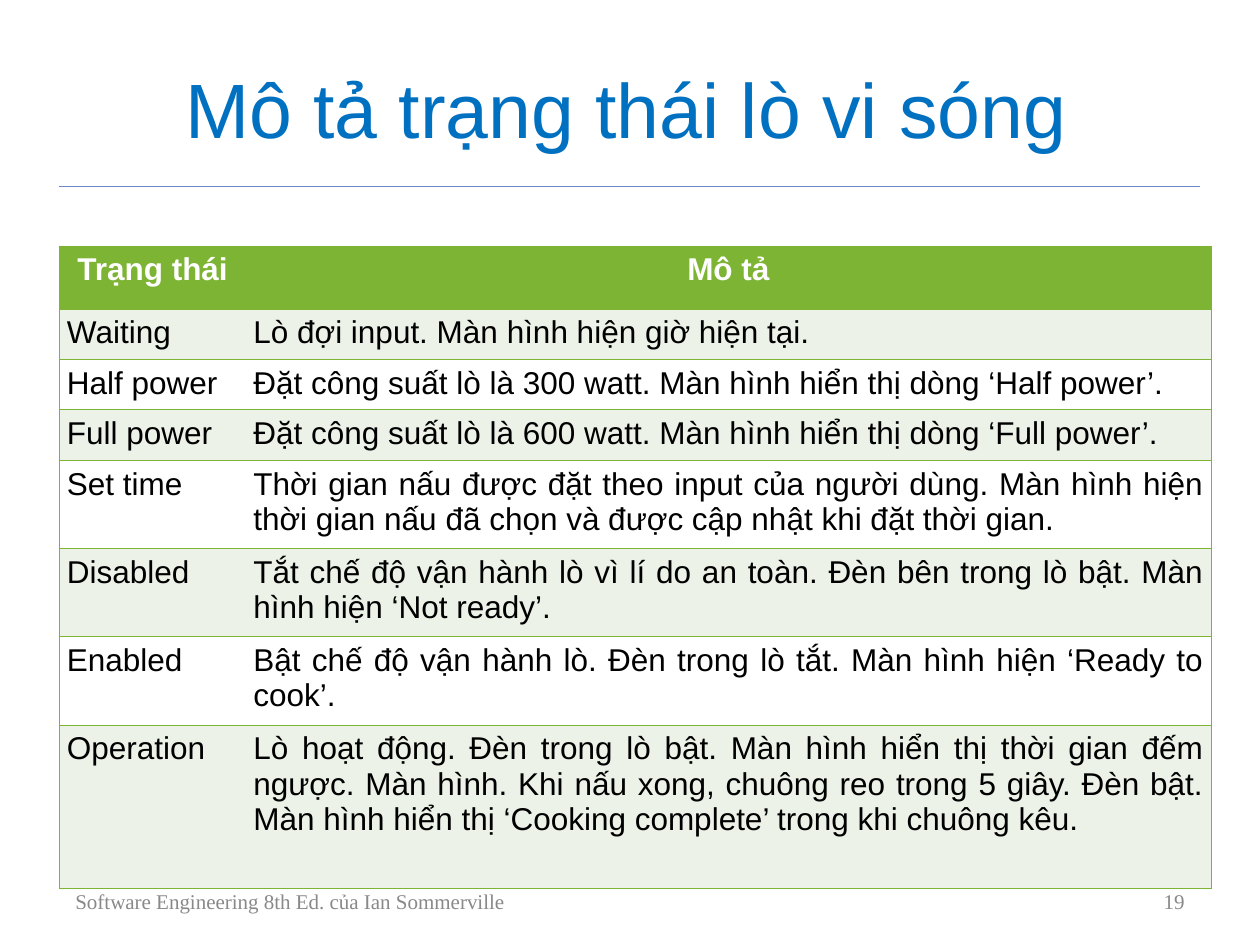
"""Build the slide that describes the states of a microwave oven."""
from lxml import etree
from pptx import Presentation
from pptx import util as u
from pptx.dml.color import RGBColor
from pptx.enum import shapes, text
from pptx.oxml import ns

Pt = u.Pt
GREEN, PALE, WHITE, BLACK, GREY = "7DB434", "ECF2E8", "FFFFFF", "000000", "898989"
CENTER, JUSTIFY = text.PP_ALIGN.CENTER, text.PP_ALIGN.JUSTIFY
LEFT, RIGHT = text.PP_ALIGN.LEFT, text.PP_ALIGN.RIGHT
MIDDLE, TOP = text.MSO_ANCHOR.MIDDLE, text.MSO_ANCHOR.TOP


def color(value):
    return RGBColor.from_string(value)


def write(frame, words, size=18, font="Arial", fill=BLACK, bold=False, align=LEFT, anchor=MIDDLE):
    frame.word_wrap = True
    frame.vertical_anchor = anchor
    paragraph = frame.paragraphs[0]
    paragraph.alignment = align
    run = paragraph.add_run()
    run.text = words
    run.font.size, run.font.name, run.font.bold = Pt(size), font, bold
    run.font.color.rgb = color(fill)


deck = Presentation()
deck.slide_width, deck.slide_height = Pt(720), Pt(540)
slide = deck.slides.add_slide(deck.slide_layouts[6])

for end, rule_color in ((680.5, "FEB80A"), (686, "6E86C6")):
    rule = slide.shapes.add_connector(
        shapes.MSO_CONNECTOR.STRAIGHT, Pt(34), Pt(106.5), Pt(end), Pt(106.5))
    rule.line.color.rgb = color(rule_color)
    rule.line.width = Pt(0.75)
    etree.SubElement(rule.element.spPr, ns.qn("a:effectLst"))

footer = dict(size=12, font="Times New Roman", fill=GREY)
for words, (left, top, width, height), style in (
    ("Software Engineering 8th Ed. của Ian Sommerville", (36, 500.5, 468, 29), footer),
    ("Mô tả trạng thái lò vi sóng", (34, 16.5, 648, 90),
     dict(size=44, fill="0070C0", align=CENTER)),
    ("19", (516, 500.5, 168, 29), dict(footer, align=RIGHT)),
):
    box = slide.shapes.add_textbox(Pt(left), Pt(top), Pt(width), Pt(height))
    write(box.text_frame, words, **style)

states = (
    ("Trạng thái", "Mô tả", 36),
    ("Waiting", "Lò đợi input. Màn hình hiện giờ hiện tại.", 28.8),
    ("Half power", "Đặt công suất lò là 300 watt. Màn hình hiển thị dòng ‘Half power’.", 28.8),
    ("Full power", "Đặt công suất lò là 600 watt. Màn hình hiển thị dòng ‘Full power’.", 28.8),
    ("Set time", "Thời gian nấu được đặt theo input của người dùng. Màn hình hiện "
     "thời gian nấu đã chọn và được cập nhật khi đặt thời gian.", 50.4),
    ("Disabled", "Tắt chế độ vận hành lò vì lí do an toàn. Đèn bên trong lò bật. "
     "Màn hình hiện ‘Not ready’.", 50.4),
    ("Enabled", "Bật chế độ vận hành lò. Đèn trong lò tắt. "
     "Màn hình hiện ‘Ready to cook’.", 50.4),
    ("Operation", "Lò hoạt động. Đèn trong lò bật. Màn hình hiển thị thời gian đếm ngược. "
     "Màn hình. Khi nấu xong, chuông reo trong 5 giây. Đèn bật. "
     "Màn hình hiển thị ‘Cooking complete’ trong khi chuông kêu.", 93.6),
)
table_height = sum(height for _, _, height in states)
table = slide.shapes.add_table(
    len(states), 2, Pt(34), Pt(140.5), Pt(658), Pt(table_height)).table
table.columns[0].width, table.columns[1].width = Pt(106.5), Pt(551.5)

for row, (state, description, height) in enumerate(states):
    table.rows[row].height = Pt(height)
    header = row == 0
    for column, words in enumerate((state, description)):
        cell = table.cell(row, column)
        cell.margin_left = cell.margin_right = Pt(4.3)
        cell.margin_top = cell.margin_bottom = Pt(3.6)
        write(cell.text_frame, words, fill=WHITE if header else BLACK, bold=header,
              align=CENTER if header else JUSTIFY, anchor=TOP)
        properties = cell._tc.get_or_add_tcPr()
        inner_side = "R" if column == 0 else "L"
        for side in "LRTB":
            border = etree.SubElement(properties, ns.qn(f"a:ln{side}"), w=str(Pt(0.45)))
            if side == inner_side:
                etree.SubElement(border, ns.qn("a:noFill"))
            else:
                paint = etree.SubElement(border, ns.qn("a:solidFill"))
                etree.SubElement(paint, ns.qn("a:srgbClr"), val=GREEN)
        cell.fill.solid()
        cell.fill.fore_color.rgb = color(GREEN if header else PALE if row % 2 else WHITE)

deck.save("out.pptx")
